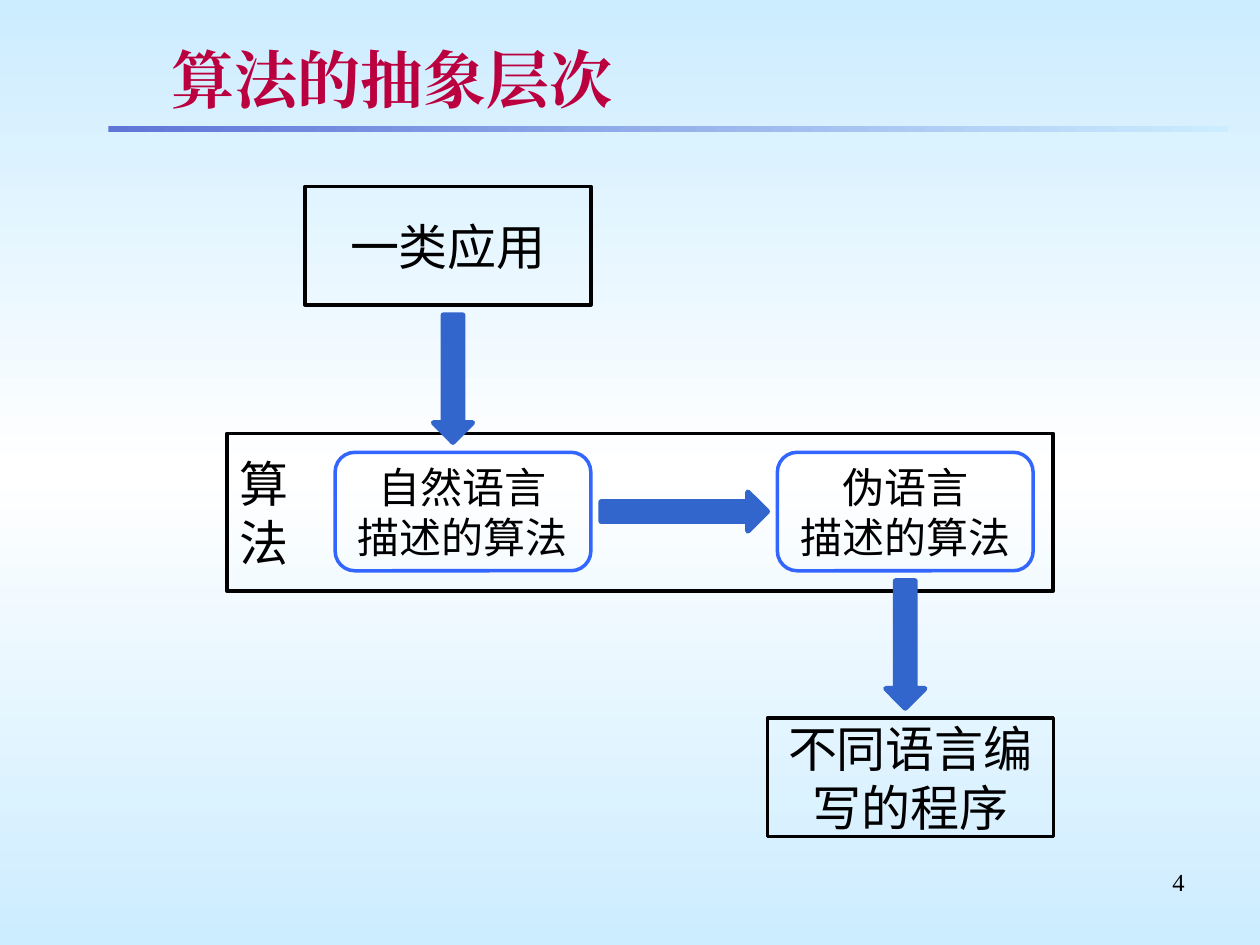
from copy import deepcopy

from lxml import etree
from pptx import Presentation
from pptx.dml.color import RGBColor
from pptx.enum.shapes import MSO_SHAPE
from pptx.enum.text import MSO_ANCHOR, PP_ALIGN
from pptx.oxml.ns import qn
from pptx.util import Inches, Pt

RECT, ROUND = MSO_SHAPE.RECTANGLE, MSO_SHAPE.ROUNDED_RECTANGLE
RIGHT_ARROW, DOWN_ARROW = MSO_SHAPE.RIGHT_ARROW, MSO_SHAPE.DOWN_ARROW
LEFT, CENTER, RIGHT = PP_ALIGN.LEFT, PP_ALIGN.CENTER, PP_ALIGN.RIGHT
MIDDLE = MSO_ANCHOR.MIDDLE

BLACK = RGBColor(0x00, 0x00, 0x00)
WHITE = RGBColor(0xFF, 0xFF, 0xFF)
SKY = RGBColor(0xCC, 0xEC, 0xFF)
INDIGO = RGBColor(0x5F, 0x76, 0xD7)
CRIMSON = RGBColor(0xBA, 0x00, 0x3E)
FRAME_BLUE = RGBColor(0x33, 0x66, 0xFF)
ARROW_BLUE = RGBColor(0x33, 0x66, 0xCC)
SANS, SERIF = "Noto Sans CJK SC", "Times New Roman"

BOX_W, BOX_H = 2.27, 0.94     # end boxes
STEP_W = 2.03                 # rounded boxes
ROW = 2.11                    # distance between diagram rows
GAP, BREADTH = 0.08, 0.31     # arrow clearance and thickness


def write(tf, lines, size, align=CENTER, name=SANS, color=BLACK, bold=False):
    tf.word_wrap = True
    tf.vertical_anchor = MIDDLE
    for i, line in enumerate(lines):
        p = tf.add_paragraph() if i else tf.paragraphs[0]
        p.alignment = align
        r = p.add_run()
        r.text = line
        for key, value in dict(name=name, size=Pt(size), bold=bold).items():
            setattr(r.font, key, value)
        r.font.color.rgb = color
        ea = etree.Element(qn("a:ea"), typeface=name)
        r.font._element.find(qn("a:latin")).addnext(ea)


def add_text_shadow(r):
    r_pr = r.font._element
    effects = etree.Element(qn("a:effectLst"))
    shadow = etree.SubElement(effects, qn("a:outerShdw"),
                              dist="25400", dir="2700000", algn="tl")
    etree.SubElement(shadow, qn("a:srgbClr"), val="C0C0C0")
    r_pr.find(qn("a:latin")).addprevious(effects)


def fill_gradient(fill, colors, angle):
    """Fill with evenly spaced colour stops."""
    fill.gradient()
    fill.gradient_angle = angle
    stop_list = fill._xPr.find(qn("a:gradFill")).find(qn("a:gsLst"))
    for _ in colors[2:]:
        stop_list.append(deepcopy(stop_list[0]))
    for i, (stop, color) in enumerate(zip(fill.gradient_stops, colors)):
        stop.color.rgb = color
        stop.position = i / (len(colors) - 1)


def add_shape(slide, kind, box, line=None, width=2, fill=None):
    sp = slide.shapes.add_shape(kind, *map(Inches, box))
    sp.shadow.inherit = False
    if fill is None:
        sp.fill.background()
    else:
        sp.fill.solid()
        sp.fill.fore_color.rgb = fill
    if line is None:
        sp.line.fill.background()
    else:
        sp.line.color.rgb = line
        sp.line.width = Pt(width)
    return sp


def add_box(slide, kind, box, lines, size, line=BLACK, align=CENTER):
    sp = add_shape(slide, kind, box, line)
    write(sp.text_frame, lines, size, align)


def add_arrow(slide, kind, box):
    add_shape(slide, kind, box, ARROW_BLUE, 3, ARROW_BLUE)


def add_header(slide, box, text):
    x, y, w, h = box
    rule = add_shape(slide, RECT, (x - 0.4, y + h + 0.04, 8.89, 0.05))
    fill_gradient(rule.fill, [INDIGO, SKY], 0)
    title = slide.shapes.title
    for key, value in zip(("left", "top", "width", "height"), box):
        setattr(title, key, Inches(value))
    write(title.text_frame, [text], 36, LEFT, SERIF, CRIMSON, True)
    add_text_shadow(title.text_frame.paragraphs[0].runs[0])


def add_page_number(slide, box, number):
    tf = slide.shapes.add_textbox(*map(Inches, box)).text_frame
    write(tf, [number], 14, RIGHT, SERIF)
    tf.vertical_anchor = MSO_ANCHOR.TOP


def add_diagram(slide, box):
    """Application, band of two algorithm descriptions, programs."""
    x, y, w, h = box
    rows = [y + i * ROW for i in range(3)]
    step_xs = (x + 0.86, x + 4.37)
    down_xs = (x + 1.64, step_xs[1] + (STEP_W - BREADTH) / 2)
    down_length = ROW - BOX_H - 2 * GAP

    add_box(slide, RECT, (x, rows[1] - 0.15, w, BOX_H + 0.31),
            ["算", "法"], 28, align=LEFT)
    for step_x, name in zip(step_xs, ("自然语言", "伪语言")):
        add_box(slide, ROUND, (step_x, rows[1], STEP_W, BOX_H),
                [name, "描述的算法"], 24, FRAME_BLUE)
    add_box(slide, RECT, (x + 0.62, rows[0], BOX_W, BOX_H), ["一类应用"], 28)
    add_box(slide, RECT, (x + w - BOX_W, rows[2], BOX_W, BOX_H),
            ["不同语言编写的程序"], 28)

    start = step_xs[0] + STEP_W + GAP
    add_arrow(slide, RIGHT_ARROW, (start, rows[1] + (BOX_H - BREADTH) / 2,
                                   step_xs[1] - GAP - start, BREADTH))
    for down_x, row in zip(down_xs, rows):
        add_arrow(slide, DOWN_ARROW,
                  (down_x, row + BOX_H + GAP, BREADTH, down_length))


def main():
    prs = Presentation()
    prs.slide_width, prs.slide_height = Inches(10), Inches(7.5)
    slide = prs.slides.add_slide(prs.slide_layouts[5])
    fill_gradient(slide.background.fill, [SKY, WHITE, SKY], 90)
    add_header(slide, (1.26, 0.29, 8.24, 0.67), "算法的抽象层次")
    add_page_number(slide, (7.17, 6.83, 2.33, 0.52), "4")
    add_diagram(slide, (1.8, 1.48, 6.56, 5.16))
    prs.save("out.pptx")


if __name__ == "__main__":
    main()
